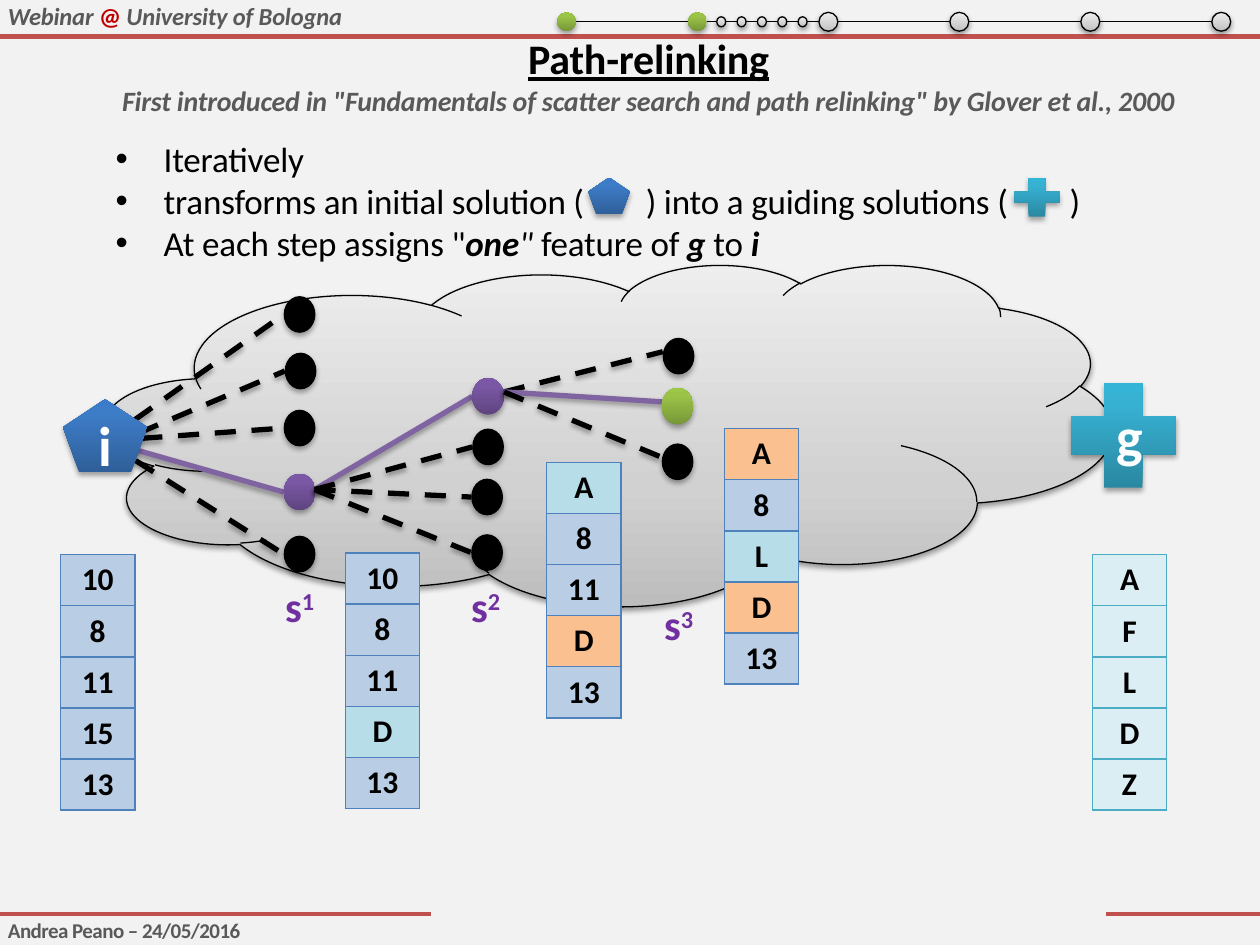
"""Build the path-relinking slide of a webinar deck."""
from dataclasses import dataclass

from lxml.etree import SubElement
from pptx import Presentation
from pptx.dml.color import RGBColor
from pptx.enum.dml import MSO_LINE
from pptx.enum.shapes import MSO_CONNECTOR, MSO_SHAPE
from pptx.enum.text import MSO_ANCHOR, PP_ALIGN
from pptx.oxml.ns import qn
from pptx.util import Cm, Pt

COLORS = {
    "page": "F2F2F2", "black": "000000", "white": "FFFFFF", "grey": "595959",
    "rule": "C0504D", "at": "C00000", "label": "7030A0", "route": "8064A2",
    "blue": "B9CDE5", "aqua": "B7DEE8", "peach": "FAC090", "pale": "DBEEF4",
    "blue edge": "4F81BD", "aqua edge": "4BACC6",
}
GRADIENTS = {
    "silver": {0: "BDBDBD", 35: "D1D1D1", 100: "EEEEEE"},
    "initial": {0: "2F5F99", 80: "3D7CC7", 100: "3A7CCB"},
    "guiding": {0: "2A88A2", 80: "37B1D2", 100: "34B4D6"},
    "purple": {0: "5F4480", 80: "7B58A6", 100: "7C57A8"},
    "green": {0: "779737", 80: "9BC348", 100: "9DC746"},
}
NODE_W, NODE_H = 0.64, 0.74


@dataclass
class Node:
    """A candidate solution, with the rise of its edge's start."""
    x: float
    y: float
    fill: str = "black"
    rise: float = 0


@dataclass
class Fan:
    """One step: edges from a start point to its candidates."""
    x: float
    y: float
    nodes: list[Node]
    dip: float = NODE_H / 2


@dataclass
class Vector:
    """A solution written as a column of features."""
    x: float
    y: float
    values: str
    fills: str
    edge: str = "blue edge"


FANS = [
    Fan(2.11, 8.89, [Node(5.72, 5.97), Node(5.74, 7.11, rise=0.13), Node(5.72, 8.26),
                     Node(5.72, 9.55, "purple"), Node(5.72, 10.8)]),
    Fan(6.34, 9.87, [Node(9.52, 7.62, "purple"), Node(9.52, 8.64),
                     Node(9.5, 9.65), Node(9.5, 10.77)]),
    Fan(10.16, 7.9, [Node(13.36, 6.81), Node(13.34, 7.82, "green"),
                     Node(13.34, 8.94)], dip=0.28),
]
VECTORS = [
    Vector(1.22, 11.18, "10 8 11 15 13", "blue blue blue blue blue"),
    Vector(22.02, 11.18, "A F L D Z", "pale pale pale pale pale", "aqua edge"),
    Vector(6.96, 11.15, "10 8 11 D 13", "blue blue blue aqua blue"),
    Vector(11.02, 9.32, "A 8 11 D 13", "aqua blue blue peach blue"),
    Vector(14.6, 8.64, "A 8 L D 13", "peach blue aqua peach blue"),
]
LABELS = [("1", 5.72, 11.71), ("2", 9.47, 11.71), ("3", 13.36, 12.07)]


def rgb(name: str) -> RGBColor:
    """Look up a named colour."""
    return RGBColor.from_string(COLORS[name])


def add_run(p, text: str, *, size=20, color="black", bold=False, italic=False,
            underline=False, spacing=-0.1, raised=False) -> None:
    """Add formatted text to a paragraph."""
    r = p.add_run()
    r.text = text
    f = r.font
    f.name, f.size, f.bold, f.italic, f.underline = "Calibri", Pt(size), bold, italic, underline
    f.color.rgb = rgb(color)
    rPr = r._r.get_or_add_rPr()
    rPr.set("spc", str(round(spacing * 100)))
    if raised:
        rPr.set("baseline", "30000")


def add_text(s, x: float, y: float, w: float, h: float, paragraphs: list,
             wrap=True, align=PP_ALIGN.LEFT, bullet=False) -> None:
    """Add a text box whose paragraphs are lists of text and format pairs."""
    tf = s.shapes.add_textbox(Cm(x), Cm(y), Cm(w), Cm(h)).text_frame
    tf.word_wrap = wrap
    tf.margin_left = tf.margin_right = tf.margin_top = tf.margin_bottom = 0
    for i, runs in enumerate(paragraphs):
        p = tf.add_paragraph() if i else tf.paragraphs[0]
        p.alignment = align
        pPr = p._p.get_or_add_pPr()
        pPr.set("marL", str(Cm(0.99 if bullet else 0.03)))
        if bullet:
            pPr.set("indent", str(Cm(-0.97)))
            SubElement(pPr, qn("a:buFont"), typeface="Arial")
            SubElement(pPr, qn("a:buChar"), char="•")
        for text, fmt in runs:
            add_run(p, text, **fmt)


def add_effects(sp, shadow: bool, alpha=35, dist=1.8) -> None:
    """Give an element a soft drop shadow, or none at all."""
    effects = SubElement(sp._element.spPr, qn("a:effectLst"))
    if shadow:
        outer = SubElement(effects, qn("a:outerShdw"), blurRad=str(Pt(3.1)), dist=str(Pt(dist)),
                           dir="5400000", algn="t", rotWithShape="0")
        color = SubElement(outer, qn("a:srgbClr"), val=COLORS["black"])
        SubElement(color, qn("a:alpha"), val=str(alpha * 1000))


def add_shape(s, kind, x: float, y: float, w: float, h: float, fill: str, adj=None):
    """Add a shadowed shape; silver ones are outlined."""
    sp = s.shapes.add_shape(kind, Cm(x), Cm(y), Cm(w), Cm(h))
    if adj is not None:
        sp.adjustments[0] = adj
    if fill in GRADIENTS:
        sp.fill.gradient()
        grad = sp._element.spPr.find(qn("a:gradFill"))
        stops = grad.find(qn("a:gsLst"))
        for stop in list(stops):
            stops.remove(stop)
        for pos, color in GRADIENTS[fill].items():
            stop = SubElement(stops, qn("a:gs"), pos=str(pos * 1000))
            SubElement(stop, qn("a:srgbClr"), val=color)
        sp.fill.gradient_angle = 90
    else:
        sp.fill.solid()
        sp.fill.fore_color.rgb = rgb(fill)
    outlined = fill == "silver"
    if outlined:
        sp.line.color.rgb = rgb("black")
        sp.line.width = Pt(0.75)
    else:
        sp.line.fill.background()
    add_effects(sp, True, *((38, 1.6) if outlined else ()))
    return sp


def add_line(s, x1: float, y1: float, x2: float, y2: float, color="black", width=0.75,
             dashed=False, shadow=False) -> None:
    """Add a straight line."""
    c = s.shapes.add_connector(MSO_CONNECTOR.STRAIGHT, Cm(x1), Cm(y1), Cm(x2), Cm(y2))
    c.line.color.rgb = rgb(color)
    c.line.width = Pt(width)
    if dashed:
        c.line.dash_style = MSO_LINE.DASH
    add_effects(c, shadow)


def add_fan(s, fan: Fan) -> None:
    """Draw the edges and candidates of one step."""
    for n in fan.nodes:
        plain = n.fill == "black"
        add_line(s, fan.x, fan.y + n.rise, n.x, n.y + fan.dip,
                 "black" if plain else "route", 3, dashed=plain, shadow=True)
    for n in fan.nodes:
        add_shape(s, MSO_SHAPE.FLOWCHART_CONNECTOR, n.x, n.y, NODE_W, NODE_H, n.fill)


def add_vector(s, v: Vector) -> None:
    """Draw a solution as a one-column table."""
    values = v.values.split()
    t = s.shapes.add_table(len(values), 1, Cm(v.x), Cm(v.y), Cm(1.5),
                           Cm(1.03 * len(values))).table
    t.first_row = t.horz_banding = False
    for i, (value, fill) in enumerate(zip(values, v.fills.split())):
        cell = t.cell(i, 0)
        tcPr = cell._tc.get_or_add_tcPr()
        for side in ("lnL", "lnR", "lnT", "lnB"):
            ln = SubElement(tcPr, qn(f"a:{side}"), w=str(Pt(1)))
            SubElement(SubElement(ln, qn("a:solidFill")), qn("a:srgbClr"), val=COLORS[v.edge])
        cell.fill.solid()
        cell.fill.fore_color.rgb = rgb(fill)
        p = cell.text_frame.paragraphs[0]
        p.alignment = PP_ALIGN.CENTER
        add_run(p, value, size=18, bold=True, spacing=0)


def add_symbol(s, kind, x, y, w, h, fill, adj=None, letter="") -> None:
    """Draw the sign of an end solution, with its letter if any."""
    sp = add_shape(s, kind, x, y, w, h, fill, adj)
    if letter:
        sp.text_frame.vertical_anchor = MSO_ANCHOR.MIDDLE
        p = sp.text_frame.paragraphs[0]
        p.alignment = PP_ALIGN.CENTER
        add_run(p, letter, size=32, color="white", bold=True, spacing=0)


def add_progress(s) -> None:
    """Draw the progress track in the header."""
    left, step, top, size = 11.23, 2.64, 0.25, 0.38
    for i in range(6):
        x = left + i * step
        if i < 5:
            add_line(s, x + size, top + size / 2, x + step, top + size / 2)
        add_shape(s, MSO_SHAPE.OVAL, x, top, size, size, "green" if i < 2 else "silver")
    for i in range(5):
        add_shape(s, MSO_SHAPE.OVAL, 14.45 + i * 0.41, 0.34, 0.18, 0.2, "silver")


def main() -> None:
    """Build and save the slide."""
    prs = Presentation()
    prs.slide_width, prs.slide_height = Cm(25.4), Cm(19.05)
    s = prs.slides.add_slide(prs.slide_layouts[6])
    s.background.fill.solid()
    s.background.fill.fore_color.rgb = rgb("page")
    for x1, x2, y, width in ((0, 8.69, 18.42, 2.25), (22.3, 25.4, 18.42, 2.25), (0, 25.4, 0.74, 3)):
        add_line(s, x1, y, x2, y, "rule", width)

    head = dict(size=14, color="grey", bold=True, italic=True)
    add_text(s, 0.13, 0.03, 11.23, 0.61, [[
        ("Webinar ", head), ("@ ", head | dict(color="at", italic=False)),
        ("University of Bologna", head)]])
    add_text(s, 0.13, 18.49, 4.75, 0.51, [[
        ("Andrea Peano – 24/05/2016", dict(size=12, color="grey", bold=True, spacing=-0.3))]],
        wrap=False)

    add_shape(s, MSO_SHAPE.CLOUD, 2.11, 5.33, 20.32, 6.88, "silver")
    for fan in FANS:
        add_fan(s, fan)
    pentagon, cross = MSO_SHAPE.REGULAR_PENTAGON, MSO_SHAPE.CROSS
    add_symbol(s, pentagon, 1.27, 8.05, 1.7, 1.47, "initial", letter="i")
    add_symbol(s, cross, 21.59, 7.72, 2.11, 2.11, "guiding", 0.317, "g")
    label = dict(size=24, color="label", bold=True)
    for step, x, y in LABELS:
        add_text(s, x, y, 0.66, 1.02, [[("s", label), (step, label | dict(raised=True))]], wrap=False)
    for vector in VECTORS:
        add_vector(s, vector)

    strong, gap = dict(bold=True, italic=True), (" ", dict(spacing=30.8))
    add_text(s, 2.31, 2.77, 21.95, 2.57, [
        [("Iteratively", {})],
        [("transforms an initial solution (", {}), gap, (") into a guiding solutions (", {}),
         gap, (")", {})],
        [('At each step assigns "', {}), ("one", strong), ('" ', dict(italic=True)),
         ("feature of ", {}), ("g", strong), (" to ", {}), ("i", strong)],
    ], bullet=True)
    add_symbol(s, pentagon, 11.86, 3.58, 0.84, 0.74, "initial")
    add_symbol(s, cross, 20.45, 3.58, 0.91, 0.79, "guiding", 0.367)
    add_text(s, 2.34, 0.66, 21.44, 1.7, [
        [("Path-relinking", dict(size=24, bold=True, underline=True))],
        [('First introduced in "Fundamentals of scatter search and path relinking"'
          " by Glover et al., 2000", dict(size=16, color="grey", bold=True, italic=True))],
    ], align=PP_ALIGN.CENTER)
    add_progress(s)
    prs.save("out.pptx")


if __name__ == "__main__":
    main()
